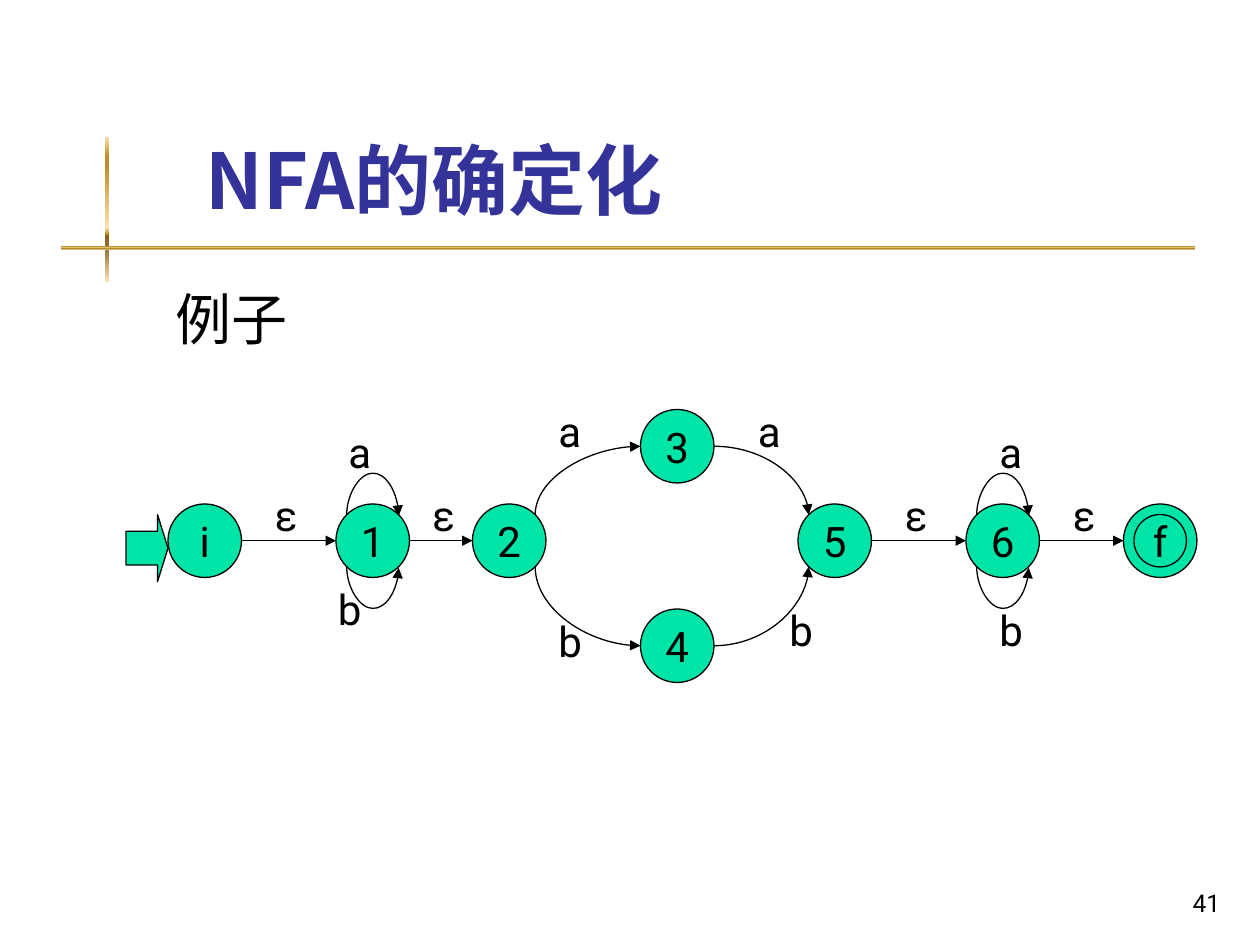
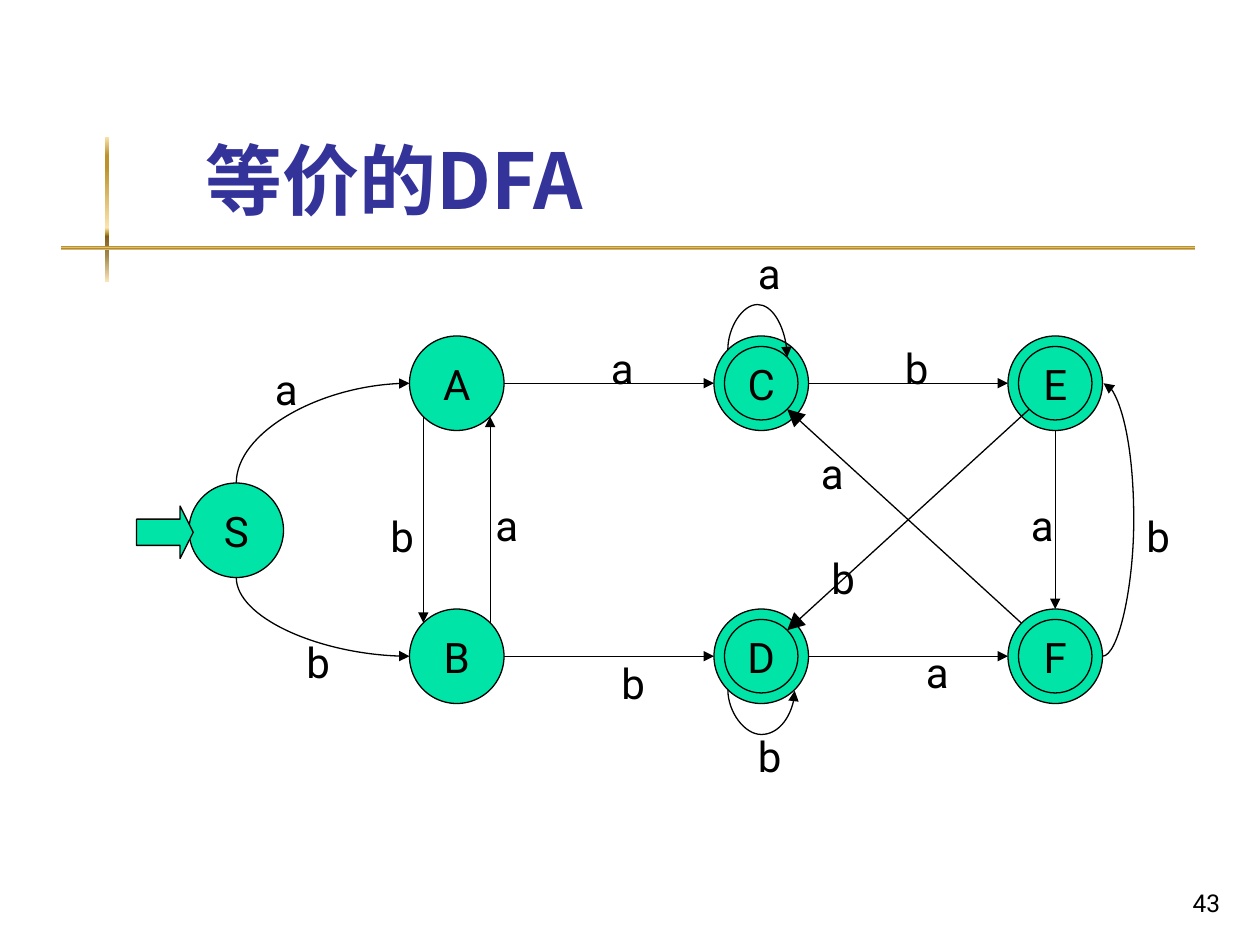
"""Draw two automata on a grid of twelfths of an inch; a port in capitals sits on a state's inner ring."""
import math
import pptx
import pptx.util
import pptx.dml.color
import pptx.enum.shapes
import pptx.enum.text
import pptx.oxml.ns
from lxml import etree

SHAPE = pptx.enum.shapes.MSO_SHAPE
LINK = pptx.enum.shapes.MSO_CONNECTOR
ALIGN = pptx.enum.text.PP_ALIGN
ANCHOR = pptx.enum.text.MSO_ANCHOR
qn = pptx.oxml.ns.qn

THEME = {
    "ink": "000000", "title": "333399", "state": "00E4A8",
    "gold": [(0, "FBE4AE"), (13, "BD922A"), (21, "BD922A"), (63, "FBE4AE"),
             (67, "BD922A"), (69, "835E17"), (82, "A28949"), (100, "FAE3B7")],
    "han": "Noto Sans CJK JP", "latin": "Roboto",
    "size": {"title": 44, "body": 32, "label": 24, "page": 14}, "line": 0.75,
}
COLS, ROWS = 120, 90
BARS = [(10, 13, 0.4, 13.8), (5.8, 23.4, 108, 0.4)]

SLIDES = [
    {
        "title": "NFA的确定化", "body": "例子", "page": "41",
        "size": 7, "entry": (12, 49, 4, 6.4),
        "states": {"4": (61, 58), "f": (107, 48), "3": (61, 39), "5": (76, 48),
                   "6": (92, 48), "2": (45, 48), "1": (32, 48), "i": (16, 48)},
        "final": "f", "front": "",
        "edges": [
            ("i", "e", "1", "w"), ("1", "e", "2", "w"),
            ("5", "e", "6", "w"), ("6", "e", "f", "w"),
            ("1", "nw", "1", "ne", -4), ("1", "sw", "1", "se", 4),
            ("6", "nw", "6", "ne", -4), ("6", "sw", "6", "se", 4),
            ("2", "ne", "3", "w", 0), ("2", "se", "4", "w", 0),
            ("3", "e", "5", "nw", 0), ("4", "e", "5", "sw", 0),
        ],
        "labels": {
            "ε": [(25, 46), (40, 46), (85, 46), (101, 46)],
            "a": [(32, 40), (71, 38), (94, 40), (52, 38)],
            "b": [(31, 55), (52, 58), (74, 57), (94, 57)],
        },
    },
    {
        "title": "等价的DFA", "body": "", "page": "43",
        "size": 9, "entry": (13, 48.2, 5.4, 5),
        "states": {"C": (68, 32), "D": (68, 58), "B": (39, 58), "A": (39, 32),
                   "E": (96, 32), "S": (18, 46), "F": (96, 58)},
        "final": "CDEF", "front": "F",
        "edges": [
            ("S", "n", "A", "w", 0), ("S", "s", "B", "w", 0),
            ("B", "ne", "A", "se"), ("A", "sw", "B", "nw"),
            ("A", "e", "C", "w"), ("B", "e", "D", "w"),
            ("D", "e", "F", "w"), ("C", "e", "E", "w"), ("E", "s", "F", "n"),
            ("F", "e", "E", "e", 3),
            ("C", "nw", "C", "NE", -4.3), ("D", "sw", "D", "se", 4.3),
            ("F", "NW", "C", "SE"), ("E", "SW", "D", "NE"),
        ],
        "labels": {
            "a": [(71, 23), (25, 34), (46, 47), (57, 32), (97, 47), (87, 61), (77, 42)],
            "b": [(108, 48), (28, 60), (36, 48), (58, 62), (85, 32), (71, 69), (78, 52)],
        },
    },
]


def unit(n):
    return pptx.util.Emu(round(pptx.util.Inches(1) * n / 12))


def tint(code):
    return pptx.dml.color.RGBColor.from_string(THEME[code])


def write(shape, text, role, face="latin", color="ink", align=ALIGN.CENTER,
          anchor=ANCHOR.MIDDLE, wrap=False):
    frame = shape.text_frame
    frame.word_wrap, frame.vertical_anchor = wrap, anchor
    para = frame.paragraphs[0]
    para.text, para.alignment = text, align
    font = para.font
    font.name, font.size = THEME[face], pptx.util.Pt(THEME["size"][role])
    font.color.rgb, font.bold = tint(color), role == "title"
    for run in para.runs:
        props = run._r.get_or_add_rPr()
        for tag in ("a:latin", "a:ea"):
            etree.SubElement(props, qn(tag), typeface=THEME[face])
    return frame


def box(slide, area, *args, **style):
    return write(slide.shapes.add_textbox(*map(unit, area)), *args, **style)


def solid(slide, kind, area):
    shape = slide.shapes.add_shape(kind, *map(unit, area))
    shape.shadow.inherit = False
    shape.fill.solid()
    shape.fill.fore_color.rgb = tint("state")
    shape.line.color.rgb = tint("ink")
    shape.line.width = pptx.util.Pt(THEME["line"])
    return shape


def frame(slide, data):
    for area in BARS:
        bar = slide.shapes.add_shape(SHAPE.RECTANGLE, *map(unit, area))
        bar.shadow.inherit = False
        bar.line.fill.background()
        bar.fill.gradient()
        bar.fill.gradient_angle = 270
        stops = bar._element.spPr.find(".//" + qn("a:gsLst"))
        for stop in list(stops):
            stops.remove(stop)
        for share, code in THEME["gold"]:
            stop = etree.SubElement(stops, qn("a:gs"), pos=str(share * 1000))
            etree.SubElement(stop, qn("a:srgbClr"), val=code)
    head = box(slide, (15.1, 2.8, 102.2, 19.2), data["title"], "title", "han", "title",
               align=ALIGN.LEFT, anchor=ANCHOR.BOTTOM, wrap=True)
    head.margin_left = unit(4.5)
    if data["body"]:
        body = box(slide, (15.5, 26.5, 102, 54), data["body"], "body", "han",
                   align=ALIGN.LEFT, anchor=ANCHOR.TOP, wrap=True)
        body.paragraphs[0].space_before = pptx.util.Pt(6.4)
    box(slide, (92.4, 82, 25, 6), data["page"], "page", align=ALIGN.RIGHT,
        anchor=ANCHOR.BOTTOM, wrap=True)


def state(slide, data, name):
    (x, y), size = data["states"][name], data["size"]
    disc = solid(slide, SHAPE.OVAL, (x, y, size, size))
    if name in data["final"]:
        disc = solid(slide, SHAPE.OVAL, (x + 1, y + 1, size - 2, size - 2))
    write(disc, name, "label")


def port(data, name, side):
    x, y = data["states"][name]
    half = data["size"] / 2
    reach = half - 1 if side.isupper() else half
    reach /= math.sqrt(len(side))
    side = side.lower()
    return (x + half + reach * (("e" in side) - ("w" in side)),
            y + half + reach * (("s" in side) - ("n" in side)))


def edge(slide, data, head, out, tail, into, bend=None):
    x, y = port(data, head, out)
    dx, dy = (b - a for a, b in zip((x, y), port(data, tail, into)))
    turn, share, kind = 0, 0, LINK.STRAIGHT
    wide, high, flip, flop = abs(dx), abs(dy), dx < 0, dy < 0
    if bend is not None:
        kind = LINK.CURVE
        flat = out in "ew"
        if flat:
            dx = dx if abs(dx) > 0.1 else 0.1
        else:
            dy = dy if abs(dy) > 0.1 else 0.1
        share = bend / (dx if flat else abs(dy))
        wide, high, flip, flop = abs(dx), abs(dy), dx < 0, dy < 0
        if not flat:
            turn = 90 if share < 0 else 270
            wide, high = high, wide
            flip, flop = (dy < 0, dx > 0) if turn == 90 else (dy > 0, dx < 0)
    left, top = x + (dx - wide) / 2, y + (dy - high) / 2
    line = slide.shapes.add_connector(
        kind, unit(left + wide * flip), unit(top + high * flop),
        unit(left + wide * (not flip)), unit(top + high * (not flop)))
    line.line.color.rgb = tint("ink")
    line.line.width = pptx.util.Pt(THEME["line"])
    props = line._element.spPr
    if bend is not None:
        props.find(qn("a:xfrm")).set("rot", str(turn * 60000))
        geom = props.find(qn("a:prstGeom"))
        geom.set("prst", "curvedConnector3" if bend else "curvedConnector2")
        if bend:
            etree.SubElement(geom.find(qn("a:avLst")), qn("a:gd"), name="adj1",
                             fmla=f"val {round(share * 100000)}")
    grade = "lg" if out.isupper() else "med"
    etree.SubElement(props.find(qn("a:ln")), qn("a:tailEnd"),
                     type="triangle", w=grade, len=grade)
    etree.SubElement(props, qn("a:effectLst"))


def draw(slide, data):
    frame(slide, data)
    back = [name for name in data["states"] if name not in data["front"]]
    for name in back:
        state(slide, data, name)
    for link in data["edges"]:
        edge(slide, data, *link)
    for text, spots in data["labels"].items():
        for x, y in spots:
            box(slide, (x, y, 4.3, 6), text, "label")
    entry = solid(slide, SHAPE.RIGHT_ARROW, data["entry"])
    entry.adjustments[1] = 0.25
    for name in data["front"]:
        state(slide, data, name)


def main():
    deck = pptx.Presentation()
    deck.slide_width, deck.slide_height = unit(COLS), unit(ROWS)
    for data in SLIDES:
        draw(deck.slides.add_slide(deck.slide_layouts[6]), data)
    deck.save("out.pptx")


if __name__ == "__main__":
    main()
